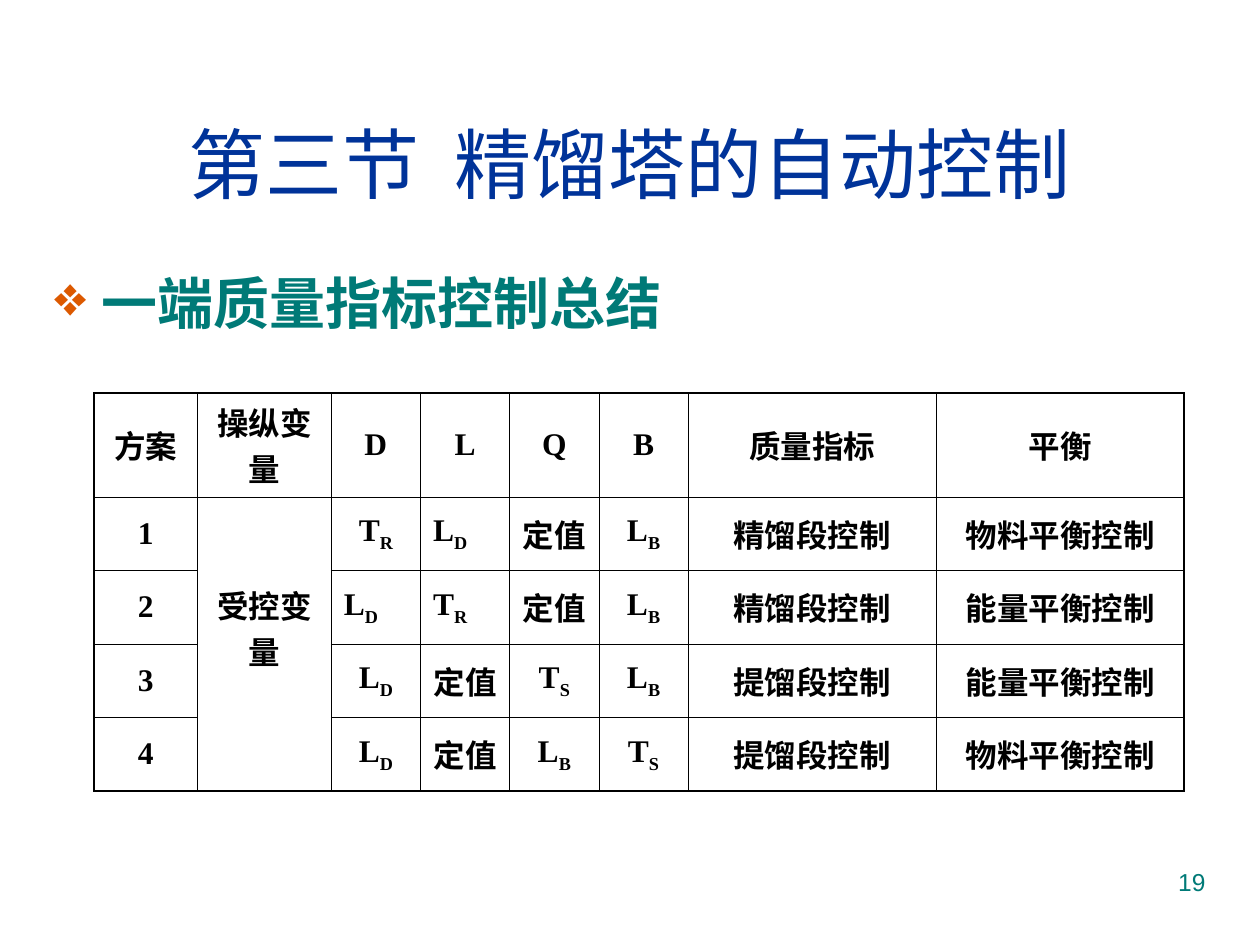
from dataclasses import dataclass

from lxml.etree import SubElement
from pptx import Presentation
from pptx.dml.color import RGBColor
from pptx.enum.lang import MSO_LANGUAGE_ID
from pptx.enum.text import MSO_ANCHOR, PP_ALIGN
from pptx.oxml.ns import qn
from pptx.util import Pt


@dataclass(frozen=True)
class Theme:
    title: str = "003399"
    accent: str = "007A77"
    bullet: str = "DC5900"
    ink: str = "000000"
    sans: str = "Arial"
    serif: str = "Times New Roman"
    title_size: int = 44
    heading_size: int = 32
    cell_size: int = 18
    number_size: int = 14
    outer_line: float = 1.08
    inner_line: float = 0.45
    plain_table: str = "{2D5ABB26-0587-4C30-8999-92F81FD0307C}"


class SlideBuilder:
    def __init__(self, slide, theme):
        self.slide = slide
        self.theme = theme

    def run(self, p, text, size, font, color, bold=False, subscript=False):
        r = p.add_run()
        r.text = text
        r.font.size = Pt(size)
        r.font.name = font
        r.font.bold = bold
        r.font.color.rgb = RGBColor.from_string(color)
        r.font.language_id = MSO_LANGUAGE_ID.SIMPLIFIED_CHINESE
        if subscript:
            r._r.get_or_add_rPr().set("baseline", "-25000")

    def text(self, box, text, size, font, color, align=PP_ALIGN.LEFT,
             anchor=MSO_ANCHOR.TOP, bold=False):
        sp = self.slide.shapes.add_textbox(*map(Pt, box))
        tf = sp.text_frame
        tf.word_wrap = True
        tf.vertical_anchor = anchor
        p = tf.paragraphs[0]
        p.alignment = align
        self.run(p, text, size, font, color, bold)
        return p

    def bullet(self, box, text):
        t = self.theme
        p = self.text(box, text, t.heading_size, t.serif, t.accent, bold=True)
        pPr = p._p.get_or_add_pPr()
        pPr.set("marL", str(Pt(27)))
        pPr.set("indent", str(Pt(-27)))
        color = SubElement(pPr, qn("a:buClr"))
        SubElement(color, qn("a:srgbClr"), val=t.bullet)
        SubElement(pPr, qn("a:buSzPct"), val="100000")
        SubElement(pPr, qn("a:buChar"), char="❖")

    def border(self, cell, outer_sides):
        t = self.theme
        tcPr = cell._tc.get_or_add_tcPr()
        for side in "LRTB":
            width = t.outer_line if side in outer_sides else t.inner_line
            ln = SubElement(tcPr, qn(f"a:ln{side}"), w=str(Pt(width)))
            fill = SubElement(ln, qn("a:solidFill"))
            SubElement(fill, qn("a:srgbClr"), val=t.ink)

    def cell(self, cell, text, align, outer_sides):
        t = self.theme
        self.border(cell, outer_sides)
        cell.fill.background()
        cell.vertical_anchor = MSO_ANCHOR.MIDDLE
        p = cell.text_frame.paragraphs[0]
        p.alignment = align
        base, _, sub = text.partition("_")
        self.run(p, base, t.cell_size, t.serif, t.ink, bold=True)
        if sub:
            self.run(p, sub, t.cell_size, t.serif, t.ink, True, True)

    def table(self, left, top, widths, heights, rows, left_cells, merge):
        n_rows, n_cols = len(rows), len(widths)
        frame = self.slide.shapes.add_table(
            n_rows, n_cols, Pt(left), Pt(top), Pt(sum(widths)), Pt(sum(heights)))
        table = frame.table
        table.first_row = table.horz_banding = False
        table._tbl.tblPr.find(qn("a:tableStyleId")).text = self.theme.plain_table
        for col, width in zip(table.columns, widths):
            col.width = Pt(width)
        for row, height in zip(table.rows, heights):
            row.height = Pt(height)
        first, last = merge
        table.cell(*first).merge(table.cell(*last))
        for i, row in enumerate(rows):
            for j, text in enumerate(row):
                cell = table.cell(i, j)
                if cell.is_spanned:
                    continue
                end = i + (cell.span_height if cell.is_merge_origin else 1)
                edges = {"L": j == 0, "R": j == n_cols - 1,
                         "T": i == 0, "B": end == n_rows}
                align = PP_ALIGN.LEFT if (i, j) in left_cells else PP_ALIGN.CENTER
                self.cell(cell, text, align, [s for s in edges if edges[s]])
        return table


def main():
    prs = Presentation()
    prs.slide_width, prs.slide_height = Pt(720), Pt(540)
    t = Theme()
    s = SlideBuilder(prs.slides.add_slide(prs.slide_layouts[6]), t)

    s.text((24, 48, 672, 90), "第三节  精馏塔的自动控制", t.title_size, t.sans,
           t.title, PP_ALIGN.CENTER, MSO_ANCHOR.MIDDLE)
    s.bullet((24, 150, 672, 330), "一端质量指标控制总结")
    s.text((516, 492, 180, 37.5), "19", t.number_size, t.sans, t.accent,
           PP_ALIGN.RIGHT)

    rows = [
        ["方案", "操纵变量", "D", "L", "Q", "B", "质量指标", "平衡"],
        ["1", "受控变量", "T_R", "L_D", "定值", "L_B", "精馏段控制", "物料平衡控制"],
        ["2", "", "L_D", "T_R", "定值", "L_B", "精馏段控制", "能量平衡控制"],
        ["3", "", "L_D", "定值", "T_S", "L_B", "提馏段控制", "能量平衡控制"],
        ["4", "", "L_D", "定值", "L_B", "T_S", "提馏段控制", "物料平衡控制"],
    ]
    widths = [59, 76.5] + [51] * 4 + [141.75] * 2
    heights = [59.5] + [42] * 4
    table = s.table(53.8, 224.5, widths, heights, rows,
                    left_cells={(1, 3), (2, 2), (2, 3)},
                    merge=((1, 1), (4, 1)))
    table.cell(1, 1).margin_bottom = Pt(22)

    prs.save("out.pptx")


if __name__ == "__main__":
    main()
